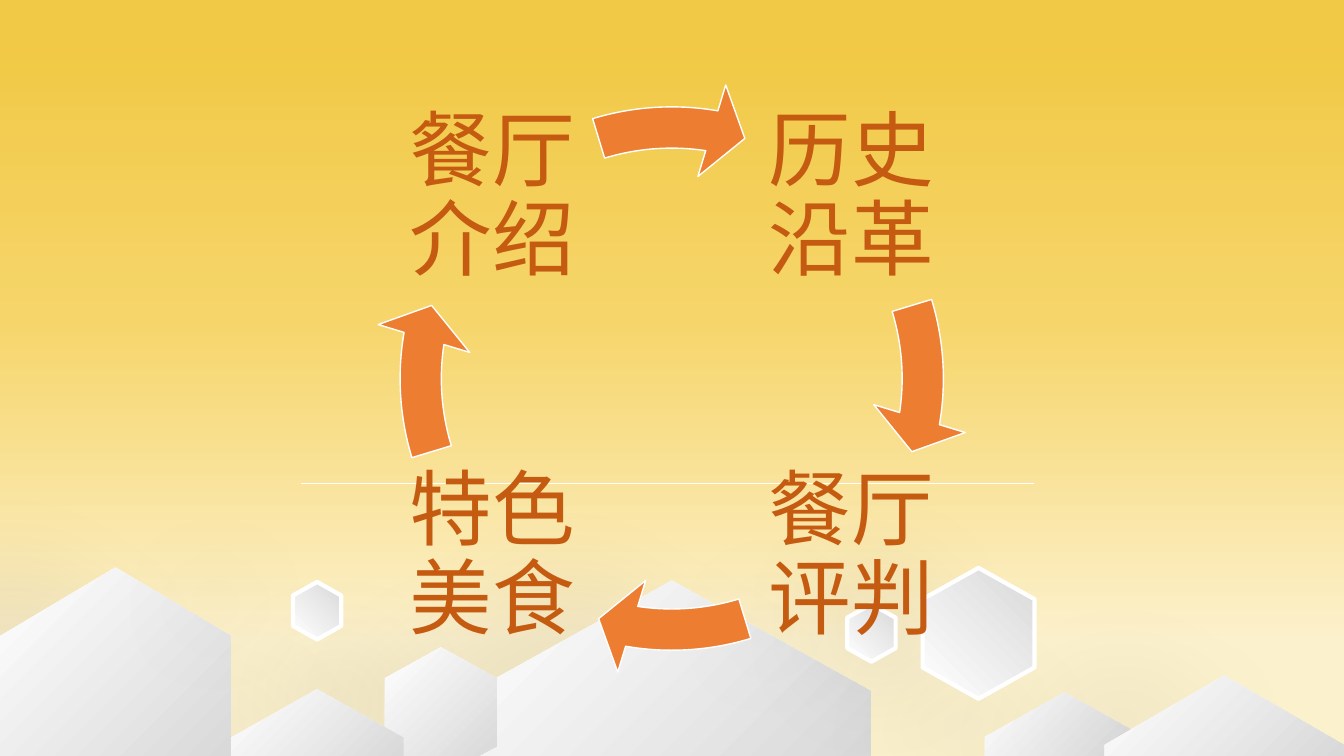
import copy
import lxml.etree
import pptx
import pptx.util
import pptx.dml.color
import pptx.enum.shapes
import pptx.enum.text
import pptx.oxml.ns

Cm = pptx.util.Cm
Pt = pptx.util.Pt
qn = pptx.oxml.ns.qn
SHAPES = pptx.enum.shapes.MSO_SHAPE

PAGE_WIDTH, PAGE_HEIGHT = 33.87, 19.05
SKY = [(0.15, "FCF1CD"), (0.58, "F6D56A"), (0.94, "F1C946")]
STONE = [(0, "FFFFFF"), (1, "D9D9D9")]
STONE_SHADOW = (5, 71, 73, 184)
LINE_SHADOW = (16, 9, 3, 91)

# left, right, apex, shoulder, chamfer width, chamfer height
PEAKS = [
    (11.91, 21.95, 14.63, 17.42, 0, 0),
    (9.70, 12.52, 16.31, 17.09, 0.46, 0.25),
    (24.82, 28.83, 17.45, 18.57, 0, 0),
    (27.84, 33.86, 17.02, 18.77, 0, 0),
    (5.82, 10.16, 17.37, 18.59, 0, 0),
    (0, 5.82, 14.30, 16.03, 0, 0),
]
HEXAGONS = [
    (24.66, 15.96, 3.30, 2.82),
    (7.99, 15.39, 1.45, 1.22),
    (21.96, 15.95, 1.45, 1.22),
]
TOPICS = [("历史沿革", 1, 0), ("餐厅评判", 1, 1), ("特色美食", 0, 1), ("餐厅介绍", 0, 0)]
TOPIC_LEFT, TOPIC_TOP, TOPIC_SIDE, TOPIC_STEP = 9.75, 2.34, 5.33, 9.04
RING_LEFT, RING_TOP, RING_SIDE = 9.40, 2.01, 15.06
QUARTER_TURN, FULL_TURN = 54, 216


def color(code):
    return pptx.dml.color.RGBColor.from_string(code)


def paint_gradient(fill, element, stops, angle):
    fill.gradient()
    fill.gradient_angle = angle
    stop_list = next(element.iter(qn("a:gsLst")))
    while len(stop_list) < len(stops):
        stop_list.append(copy.deepcopy(stop_list[-1]))
    for stop, (position, code) in zip(fill.gradient_stops, stops):
        stop.position = position
        stop.color.rgb = color(code)


def outline(item, code, width):
    item.line.color.rgb = color(code)
    item.line.width = Pt(width)


def add_shadow(item, opacity, blur, distance, direction):
    properties = item._element.spPr
    for old in properties.findall(qn("a:effectLst")):
        properties.remove(old)
    effects = lxml.etree.SubElement(properties, qn("a:effectLst"))
    shadow = lxml.etree.SubElement(
        effects, qn("a:outerShdw"), blurRad=str(Pt(blur)), dist=str(Pt(distance)),
        dir=str(direction * 60000), algn="ctr", rotWithShape="0")
    tone = lxml.etree.SubElement(shadow, qn("a:srgbClr"), val="000000")
    lxml.etree.SubElement(tone, qn("a:alpha"), val=str(opacity * 1000))


def add_peak(page, left, right, apex, shoulder, cut, rise):
    corners = [(right, shoulder), (right, PAGE_HEIGHT - rise)]
    if cut:
        corners += [(right - cut, PAGE_HEIGHT), (left + cut, PAGE_HEIGHT)]
    corners += [(left, PAGE_HEIGHT - rise), (left, shoulder)]
    builder = page.shapes.build_freeform(Cm((left + right) / 2), Cm(apex))
    builder.add_line_segments([(Cm(x), Cm(y)) for x, y in corners], close=True)
    peak = builder.convert_to_shape()
    paint_gradient(peak.fill, peak._element, STONE, 315)
    peak.line.fill.background()
    add_shadow(peak, *STONE_SHADOW)


def add_hexagon(page, center_x, center_y, width, height):
    hexagon = page.shapes.add_shape(
        SHAPES.HEXAGON, Cm(center_x - width / 2), Cm(center_y - height / 2),
        Cm(width), Cm(height))
    hexagon.adjustments[0] = 0.28
    hexagon.rotation = 90
    paint_gradient(hexagon.fill, hexagon._element, STONE, 135)
    outline(hexagon, "FFFFFF", 3)
    add_shadow(hexagon, *STONE_SHADOW)


def add_topic(page, words, column, row):
    box = page.shapes.add_textbox(
        Cm(TOPIC_LEFT + column * TOPIC_STEP), Cm(TOPIC_TOP + row * TOPIC_STEP),
        Cm(TOPIC_SIDE), Cm(TOPIC_SIDE))
    frame = box.text_frame
    frame.word_wrap = True
    frame.vertical_anchor = pptx.enum.text.MSO_ANCHOR.MIDDLE
    frame.margin_left = frame.margin_right = Cm(0.2)
    frame.margin_top = frame.margin_bottom = Cm(0.2)
    para = frame.paragraphs[0]
    para.alignment = pptx.enum.text.PP_ALIGN.CENTER
    para.line_spacing = 0.9
    span = para.add_run()
    span.text = words
    span.font.name = "Arial"
    span.font.size = Pt(59)
    span.font.color.rgb = color("C55A11")


def add_cycle_arrow(page, turn):
    arrow = page.shapes.add_shape(
        SHAPES.CIRCULAR_ARROW, Cm(RING_LEFT), Cm(RING_TOP), Cm(RING_SIDE), Cm(RING_SIDE))
    end = 5.51 + turn * QUARTER_TURN
    start = (205.84 + turn * QUARTER_TURN) % FULL_TURN
    for index, value in enumerate((0.069, 4.65, end, start, 0.08)):
        arrow.adjustments[index] = value
    arrow.shadow.inherit = False
    arrow.fill.solid()
    arrow.fill.fore_color.rgb = color("ED7D31")
    outline(arrow, "FFFFFF", 1)


deck = pptx.Presentation()
deck.slide_width, deck.slide_height = Cm(PAGE_WIDTH), Cm(PAGE_HEIGHT)
page = deck.slides.add_slide(deck.slide_layouts[6])
paint_gradient(page.background.fill, page._element, SKY, 90)

divider = page.shapes.add_connector(
    pptx.enum.shapes.MSO_CONNECTOR.STRAIGHT, Cm(7.59), Cm(12.17), Cm(26.06), Cm(12.17))
outline(divider, "FFFFFF", 0.5)
add_shadow(divider, *LINE_SHADOW)

for peak in PEAKS:
    add_peak(page, *peak)
for hexagon in HEXAGONS:
    add_hexagon(page, *hexagon)
for turn, topic in enumerate(TOPICS):
    add_topic(page, *topic)
    add_cycle_arrow(page, turn)

deck.save("out.pptx")
